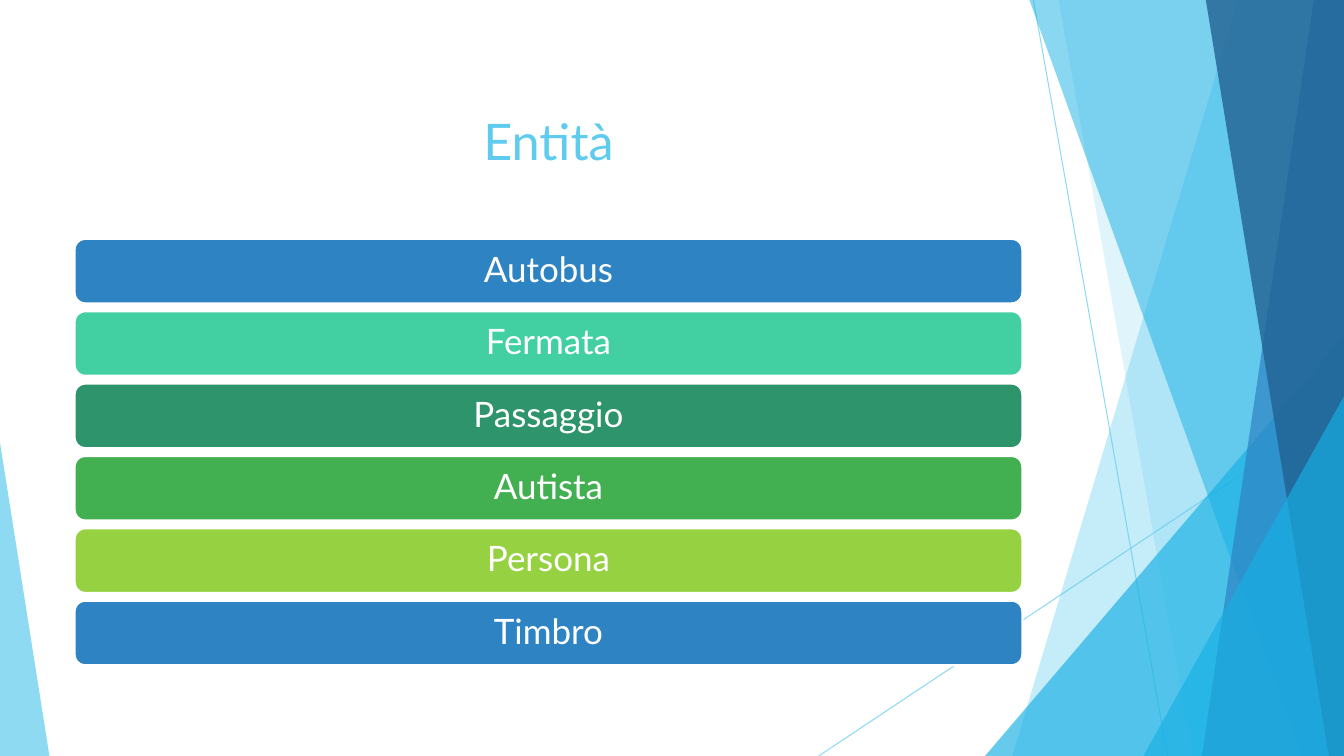
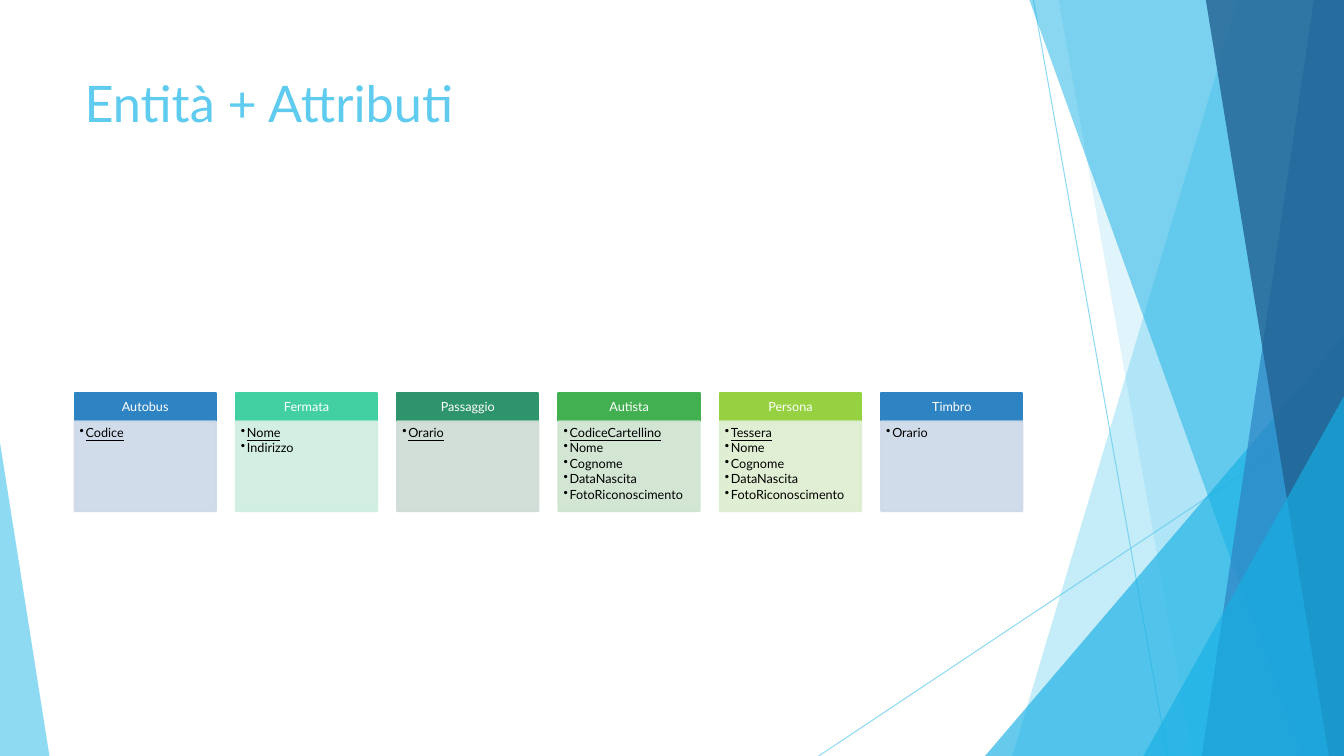
from lxml.etree import SubElement
from pptx import Presentation
from pptx.dml.color import RGBColor
from pptx.enum.shapes import MSO_CONNECTOR as Connector, MSO_SHAPE as Shape
from pptx.enum.text import MSO_ANCHOR as Anchor, PP_ALIGN as Align
from pptx.oxml.ns import qn
from pptx.util import Inches, Pt

WIDTH, HEIGHT = 13.33, 7.5
FONT = "Lato"
SKY, CYAN, BLUE, NAVY = "5FCBEF", "17B0E4", "2E83C3", "226292"
WHITE, BLACK = "FFFFFF", "000000"
TITLE_BOX = (0.74, 0.67, 9.4, 1.44)

ENTITIES = [
    ("Autobus", BLUE, "CDD9E9", "Codice", []),
    ("Fermata", "42D0A2", "CFEEE0", "Nome", ["Indirizzo"]),
    ("Passaggio", "2E946B", "CDDCD4", "Orario", []),
    ("Autista", "42B051", "CFE4D0", "CodiceCartellino",
     ["Nome", "Cognome", "DataNascita", "FotoRiconoscimento"]),
    ("Persona", "96D141", "DDEECF", "Tessera",
     ["Nome", "Cognome", "DataNascita", "FotoRiconoscimento"]),
    ("Timbro", BLUE, "CDD9E9", None, ["Orario"]),
]


def rgb(color):
    return RGBColor.from_string(color)


def set_opacity(shape, percent):
    for color in shape.element.spPr.iter(qn("a:srgbClr")):
        SubElement(color, qn("a:alpha"), val=str(percent * 1000))


def paint(shape, color, opacity=100, line=None):
    shape.shadow.inherit = False
    shape.fill.solid()
    shape.fill.fore_color.rgb = rgb(color)
    if line:
        shape.line.color.rgb = rgb(line)
        shape.line.width = Pt(1.5)
    else:
        shape.line.fill.background()
    if opacity < 100:
        set_opacity(shape, opacity)


def add_box(slide, kind, box, color, opacity=100, line=None):
    shape = slide.shapes.add_shape(kind, *map(Inches, box))
    paint(shape, color, opacity, line)
    return shape


def set_frame(shape, anchor, margins):
    frame = shape.text_frame
    frame.word_wrap = True
    frame.vertical_anchor = anchor
    (frame.margin_left, frame.margin_top,
     frame.margin_right, frame.margin_bottom) = map(Inches, margins)
    return frame


def style(paragraph, size, color, align=Align.LEFT):
    paragraph.alignment = align
    font = paragraph.font
    font.name, font.size, font.color.rgb = FONT, Pt(size), rgb(color)


def add_label(shape, text, size, margins):
    paragraph = set_frame(shape, Anchor.MIDDLE, margins).paragraphs[0]
    paragraph.text = text
    paragraph.line_spacing = 0.9
    style(paragraph, size, WHITE, Align.CENTER)


def add_bullet(paragraph, text, underline):
    paragraph.text = text
    paragraph.line_spacing = 0.9
    paragraph.space_after = Pt(1.35)
    properties = paragraph._p.get_or_add_pPr()
    properties.set("marL", str(Inches(0.06)))
    properties.set("indent", str(-Inches(0.06)))
    SubElement(properties, qn("a:buChar"), char="•")
    style(paragraph, 9, BLACK)
    paragraph.font.underline = underline


def add_ray(slide, start, end):
    ray = slide.shapes.add_connector(Connector.STRAIGHT, *map(Inches, start + end))
    ray.line.color.rgb = rgb(SKY)
    ray.line.width = Pt(0.75)
    set_opacity(ray, 70)
    SubElement(ray.element.spPr, qn("a:effectLst"))


def add_panel(slide, top_x, bottom_x, color, opacity):
    corners = [(WIDTH, 0), (WIDTH, HEIGHT), (bottom_x, HEIGHT)]
    builder = slide.shapes.build_freeform(Inches(top_x), 0)
    builder.add_line_segments([(Inches(x), Inches(y)) for x, y in corners])
    paint(builder.convert_to_shape(), color, opacity)


def add_corner(slide, left, top, width, apex, color, opacity):
    box = (left, top, width, HEIGHT - top)
    corner = add_box(slide, Shape.ISOSCELES_TRIANGLE, box, color, opacity)
    corner.adjustments[0] = apex


def add_backdrop(slide):
    add_ray(slide, (10.25, 0), (11.58, HEIGHT))
    add_ray(slide, (WIDTH, 4.03), (8.12, HEIGHT))
    add_panel(slide, 12.28, 10.04, SKY, 36)
    add_panel(slide, 10.5, 11.83, SKY, 20)
    add_corner(slide, 9.77, 3.33, 3.56, 1, CYAN, 66)
    add_panel(slide, 10.21, 12.91, CYAN, 50)
    add_panel(slide, 13.03, 11.92, BLUE, 70)
    add_panel(slide, 11.96, 13.18, NAVY, 80)
    add_corner(slide, 11.34, 3.93, 1.99, 1, CYAN, 66)
    add_corner(slide, 0, 4.39, 0.49, 0, SKY, 70)


def add_title(slide, text, anchor, align):
    title = slide.shapes.add_textbox(*map(Inches, TITLE_BOX))
    paragraph = set_frame(title, anchor, (0.1, 0.05, 0.1, 0.05)).paragraphs[0]
    paragraph.text = text
    style(paragraph, 36, SKY, align)


def add_entity_bars(slide, left, top, width, height):
    bar_height = 0.64
    pitch = (height - bar_height) / (len(ENTITIES) - 1)
    for index, (name, color, *_) in enumerate(ENTITIES):
        box = (left, top + index * pitch, width, bar_height)
        bar = add_box(slide, Shape.ROUNDED_RECTANGLE, box, color, line=WHITE)
        add_label(bar, name, 25, (0.1, 0.1, 0.1, 0.1))


def add_entity_cards(slide, left, top, width, height):
    card_width, header_height = 1.4, 0.28
    pitch = (width - card_width) / (len(ENTITIES) - 1)
    for index, (name, color, tint, key, attributes) in enumerate(ENTITIES):
        x = left + index * pitch
        header = add_box(slide, Shape.RECTANGLE, (x, top, card_width, header_height),
                         color, line=color)
        add_label(header, name, 9, (0.07, 0.04, 0.07, 0.04))
        body_box = (x, top + header_height, card_width, height - header_height)
        body = add_box(slide, Shape.RECTANGLE, body_box, tint, 90, tint)
        frame = set_frame(body, Anchor.TOP, (0.05, 0.05, 0.07, 0.08))
        items = ([key] if key else []) + attributes
        for row, item in enumerate(items):
            paragraph = frame.add_paragraph() if row else frame.paragraphs[0]
            add_bullet(paragraph, item, bool(key) and row == 0)


def add_slide(presentation, title, anchor, align):
    slide = presentation.slides.add_slide(presentation.slide_layouts[6])
    add_backdrop(slide)
    add_title(slide, title, anchor, align)
    return slide


presentation = Presentation()
presentation.slide_width, presentation.slide_height = Inches(WIDTH), Inches(HEIGHT)

entities = add_slide(presentation, "Entità", Anchor.MIDDLE, Align.CENTER)
add_entity_bars(entities, 0.74, 2.37, 9.4, 4.23)

attributes = add_slide(presentation, "Entità + Attributi", Anchor.TOP, Align.LEFT)
add_entity_cards(attributes, 0.74, 3.9, 9.4, 1.17)

presentation.save("out.pptx")
